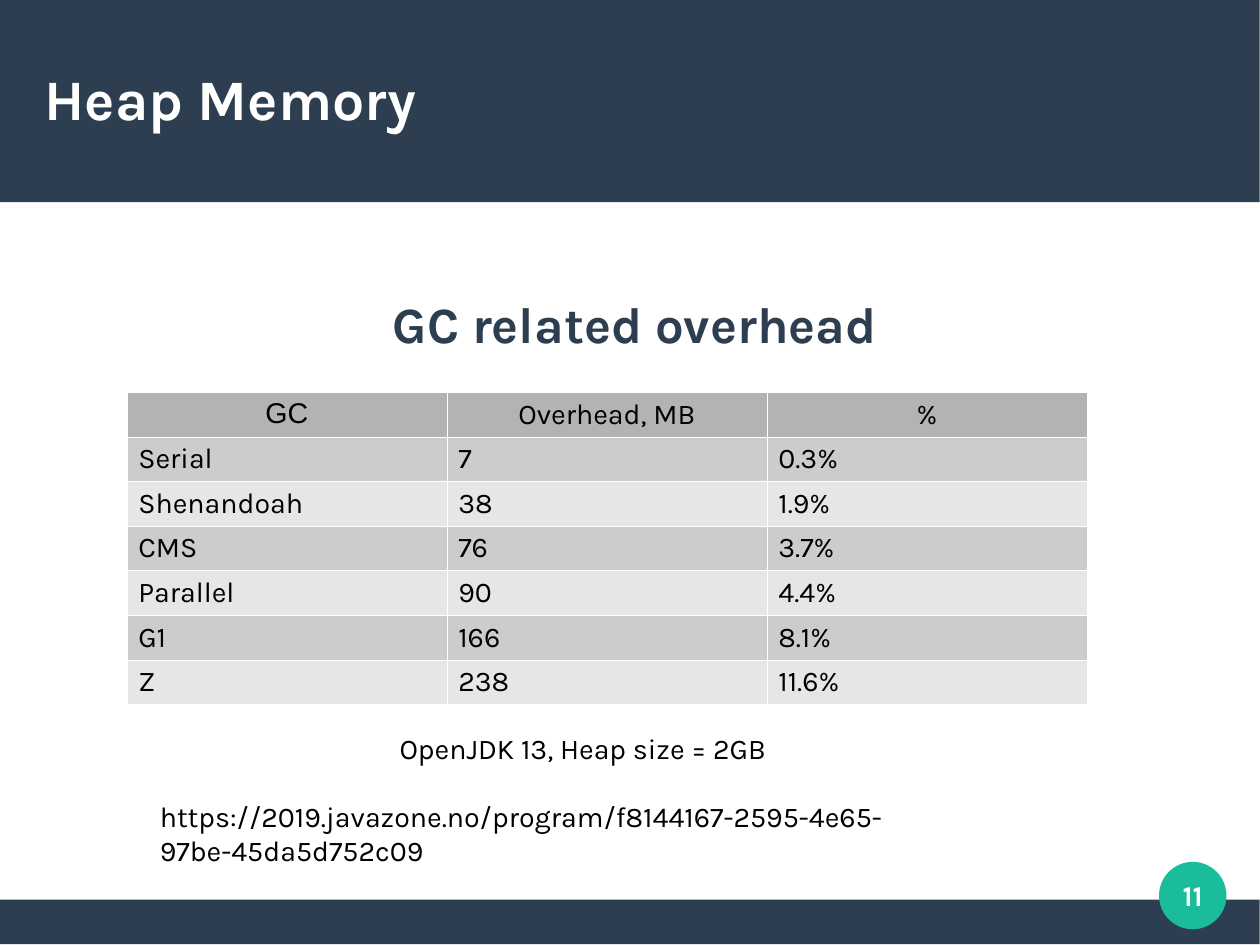
from lxml import etree
from pptx import Presentation
from pptx.dml.color import RGBColor
from pptx.enum.shapes import MSO_SHAPE
from pptx.enum.text import MSO_ANCHOR, PP_ALIGN
from pptx.oxml.ns import qn
from pptx.util import Cm, Inches, Pt

LEFT, CENTER = PP_ALIGN.LEFT, PP_ALIGN.CENTER
TOP, MIDDLE = MSO_ANCHOR.TOP, MSO_ANCHOR.MIDDLE
RECTANGLE, OVAL = MSO_SHAPE.RECTANGLE, MSO_SHAPE.OVAL

COLORS = {
    "navy": "2C3E50",
    "teal": "1ABC9C",
    "white": "FFFFFF",
    "black": "000000",
    "header": "B3B3B3",
    "odd": "CCCCCC",
    "even": "E6E6E6",
}
SLIDE_SIZE_CM = (28, 21)
NO_INSETS = (0, 0, 0)
INSETS = (0.1, 0.05, 0.05)
CELL_INSETS = (0.1, 0.05, 0.04)

TITLE = "Heap Memory"
HEADING = "GC related overhead"
PAGE_NUMBER = "11"
NOTES = [
    ("OpenJDK 13, Heap size = 2GB", CENTER, 0),
    ("https://2019.javazone.no/program/f8144167-2595-4e65-97be-45da5d752c09", LEFT, 21),
]
OVERHEAD = [
    ("GC", "Overhead, MB", "%"),
    ("Serial", "7", "0.3%"),
    ("Shenandoah", "38", "1.9%"),
    ("CMS", "76", "3.7%"),
    ("Parallel", "90", "4.4%"),
    ("G1", "166", "8.1%"),
    ("Z", "238", "11.6%"),
]
BANDS = [
    (RECTANGLE, (0, 7.87, 11.02, 0.39), "navy"),
    (RECTANGLE, (0, 0, 11.02, 1.77), "navy"),
]
BADGE = (OVAL, (10.14, 7.54, 0.59, 0.59), "teal")
TITLE_BOX = (0.39, 0.33, 10.24, 1.05)
HEADING_BOX = (0.67, 2.47, 9.77, 0.72)
TABLE_BOX = (1.11, 3.43, 8.4, 2.69)
NOTES_BOX = (1.3, 6.35, 7.6, 1.46)
HEADER_HEIGHT, ROW_HEIGHT = 0.39, 0.38
BORDER_WIDTH = 0.06

TITLE_FORMAT = {"size": Pt(36), "name": "Karla", "bold": True, "color": "white"}
HEADING_FORMAT = {"size": Pt(32), "name": "Karla", "bold": True, "color": "navy"}
BADGE_FORMAT = {"size": Pt(18), "name": "Karla", "bold": True, "color": "white"}
BODY_FORMAT = {"size": Pt(18), "name": "Karla", "bold": False, "color": "black"}


def rgb(color):
    return RGBColor.from_string(COLORS[color])


def write_paragraph(paragraph, text, text_format, alignment):
    paragraph.alignment = alignment
    run = paragraph.add_run()
    run.text = text
    for key, value in text_format.items():
        if key == "color":
            run.font.color.rgb = rgb(value)
        else:
            setattr(run.font, key, value)


def set_margins(target, insets):
    side, top, bottom = map(Inches, insets)
    target.margin_left = target.margin_right = side
    target.margin_top = top
    target.margin_bottom = bottom


def write_frame(frame, lines, text_format, anchor, insets):
    frame.word_wrap = True
    frame.vertical_anchor = anchor
    set_margins(frame, insets)
    for index, (text, alignment, space_before) in enumerate(lines):
        paragraph = frame.add_paragraph() if index else frame.paragraphs[0]
        paragraph.space_before = Pt(space_before)
        write_paragraph(paragraph, text, text_format, alignment)


def add_filled_shape(slide, kind, box, color):
    shape = slide.shapes.add_shape(kind, *map(Inches, box))
    shape.shadow.inherit = False
    shape.fill.solid()
    shape.fill.fore_color.rgb = rgb(color)
    shape.line.fill.background()
    return shape


def add_text(slide, box, lines, text_format, anchor, insets):
    shape = slide.shapes.add_textbox(*map(Inches, box))
    write_frame(shape.text_frame, lines, text_format, anchor, insets)


def set_borders(cell):
    properties = cell._tc.get_or_add_tcPr()
    for index, side in enumerate(("lnL", "lnR", "lnT", "lnB")):
        line = etree.Element(qn(f"a:{side}"), w=str(Pt(BORDER_WIDTH)))
        fill = etree.SubElement(line, qn("a:solidFill"))
        etree.SubElement(fill, qn("a:srgbClr"), val=COLORS["white"])
        properties.insert(index, line)


def add_overhead_table(slide):
    frame = slide.shapes.add_table(len(OVERHEAD), len(OVERHEAD[0]), *map(Inches, TABLE_BOX))
    table = frame.table
    table.first_row = table.horz_banding = False
    for row_index, values in enumerate(OVERHEAD):
        is_header = row_index == 0
        color = "header" if is_header else ("even", "odd")[row_index % 2]
        table.rows[row_index].height = Inches(HEADER_HEIGHT if is_header else ROW_HEIGHT)
        for column_index, value in enumerate(values):
            cell = table.cell(row_index, column_index)
            set_margins(cell, CELL_INSETS)
            cell.fill.solid()
            cell.fill.fore_color.rgb = rgb(color)
            set_borders(cell)
            font_name = "Arial" if value == "GC" else "Karla"
            text_format = {**BODY_FORMAT, "name": font_name}
            alignment = CENTER if is_header else LEFT
            write_paragraph(cell.text_frame.paragraphs[0], value, text_format, alignment)


def main():
    presentation = Presentation()
    presentation.slide_width, presentation.slide_height = map(Cm, SLIDE_SIZE_CM)
    slide = presentation.slides.add_slide(presentation.slide_layouts[6])
    for band in BANDS:
        add_filled_shape(slide, *band)
    badge = add_filled_shape(slide, *BADGE)
    write_frame(badge.text_frame, [(PAGE_NUMBER, CENTER, 0)], BADGE_FORMAT, MIDDLE, NO_INSETS)
    add_text(slide, TITLE_BOX, [(TITLE, LEFT, 0)], TITLE_FORMAT, MIDDLE, NO_INSETS)
    add_text(slide, HEADING_BOX, [(HEADING, CENTER, 0)], HEADING_FORMAT, MIDDLE, NO_INSETS)
    add_overhead_table(slide)
    add_text(slide, NOTES_BOX, NOTES, BODY_FORMAT, TOP, INSETS)
    presentation.save("out.pptx")


if __name__ == "__main__":
    main()
